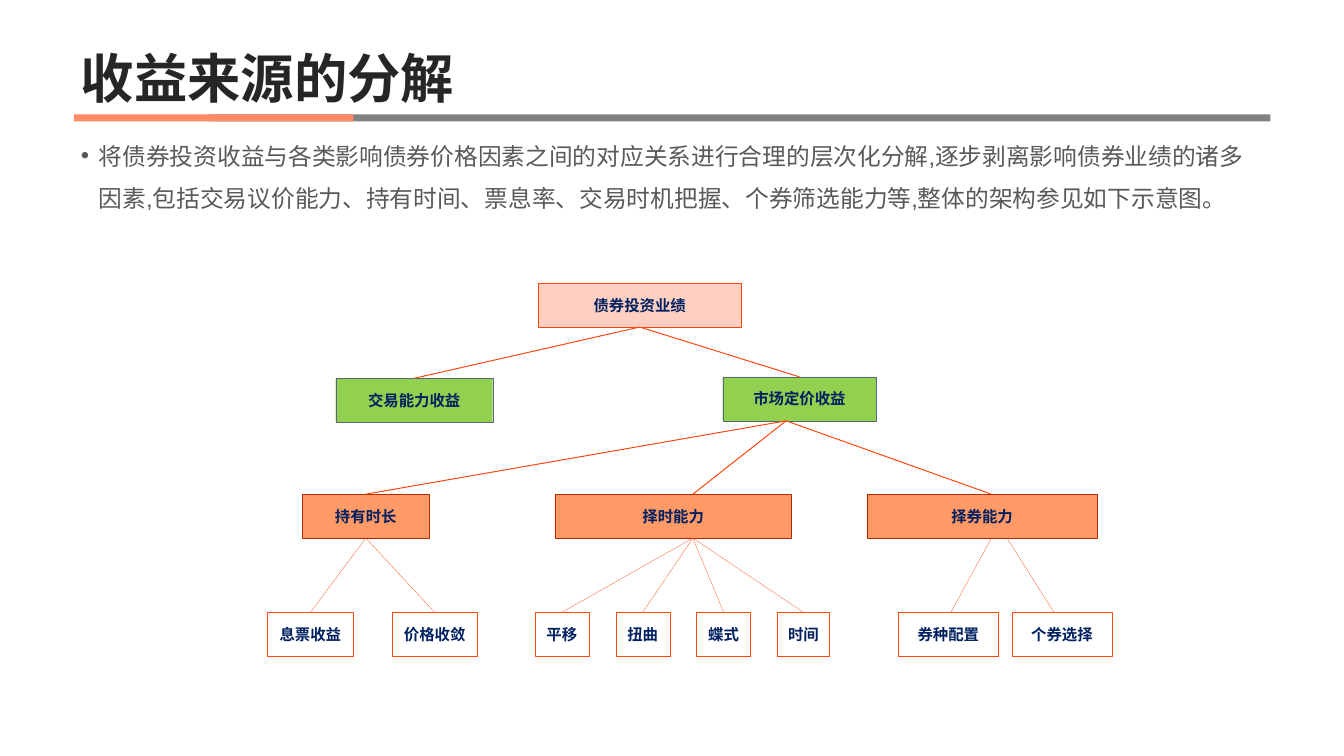
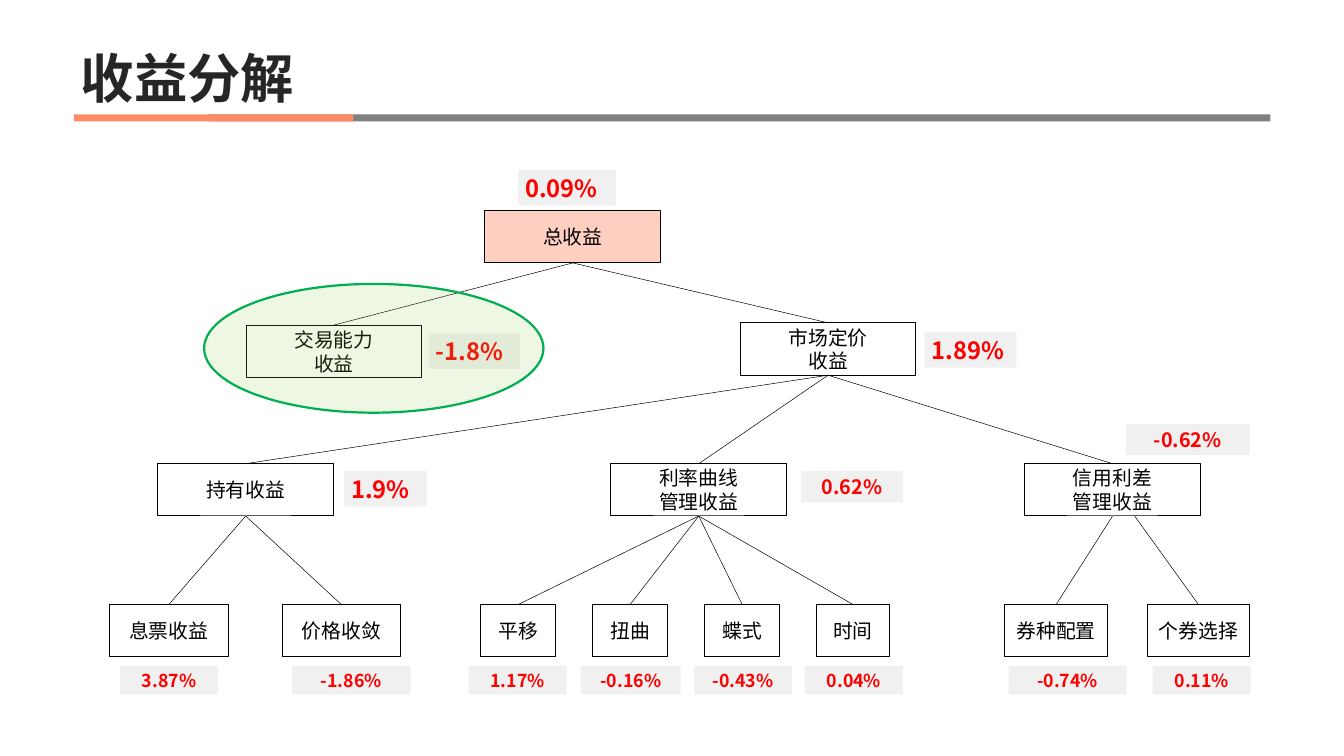
from pptx import Presentation
from pptx.dml.color import RGBColor
from pptx.enum.shapes import MSO_CONNECTOR, MSO_SHAPE
from pptx.enum.text import MSO_ANCHOR, PP_ALIGN
from pptx.oxml.ns import qn
from pptx.util import Cm, Pt
from lxml.etree import SubElement

LATIN, CJK = "Arial", "Noto Sans CJK SC"
BLACK = RGBColor(0x00, 0x00, 0x00)
TITLE_INK = RGBColor(0x26, 0x26, 0x26)
BODY_INK = RGBColor(0x59, 0x59, 0x59)
BAND_GREY = RGBColor(0x80, 0x80, 0x80)
BAND_CORAL = RGBColor(0xFF, 0x8A, 0x65)
NAVY = RGBColor(0x00, 0x20, 0x60)
PINK = RGBColor(0xFF, 0xD0, 0xC1)
LIME = RGBColor(0x92, 0xD0, 0x50)
SLATE = RGBColor(0x56, 0x68, 0x7C)
ORANGE = RGBColor(0xFF, 0x99, 0x66)
RUST = RGBColor(0xB2, 0x2B, 0x00)
VERMILION = RGBColor(0xFF, 0x46, 0x0C)
TAG_GREY = RGBColor(0xF0, 0xF0, 0xF0)
RED = RGBColor(0xFF, 0x00, 0x00)
GREEN = RGBColor(0x00, 0xB0, 0x50)

MARGIN, CONTENT_WIDTH = 2.64, 42.72


def write(shape, text, size, color, bold=False, align=PP_ALIGN.LEFT,
          anchor=MSO_ANCHOR.TOP, font=CJK, spacing=None):
    """Put formatted text into a shape."""
    tf = shape.text_frame
    tf.word_wrap = True
    tf.vertical_anchor = anchor
    tf.text = text
    for p in tf.paragraphs:
        p.alignment = align
        p.line_spacing = spacing
        for r in p.runs:
            r.font.size, r.font.bold, r.font.name = Pt(size), bold, font
            r.font.color.rgb = color
            SubElement(r.font._element, qn("a:ea"), typeface=CJK)


def add_box(slide, left, top, width, height, fill=None, line=None, weight=1,
            kind=MSO_SHAPE.RECTANGLE):
    """Add a flat preset shape; no colour means no fill or no line."""
    sp = slide.shapes.add_shape(kind, Cm(left), Cm(top), Cm(width), Cm(height))
    sp.shadow.inherit = False
    if fill is None:
        sp.fill.background()
    else:
        sp.fill.solid()
        sp.fill.fore_color.rgb = fill
    if line is None:
        sp.line.fill.background()
    else:
        sp.line.color.rgb = line
        sp.line.width = Pt(weight)
    return sp


def add_link(slide, parent, child, color, weight, start=0, end=0):
    """Join a parent's bottom centre to a child's top centre, with shifts in cm."""
    cxn = slide.shapes.add_connector(
        MSO_CONNECTOR.STRAIGHT,
        parent.left + parent.width // 2 + Cm(start), parent.top + parent.height,
        child.left + child.width // 2 + Cm(end), child.top)
    cxn.line.color.rgb = color
    cxn.line.width = Pt(weight)
    SubElement(cxn._element.spPr, qn("a:effectLst"))


def add_titled_slide(prs, title):
    """Add a blank slide with the shared title and two-colour band."""
    slide = prs.slides.add_slide(prs.slide_layouts[6])
    add_box(slide, 7.47, 4.09, 37.9, 0.25, BAND_GREY)
    add_box(slide, MARGIN, 4.09, 9.98, 0.25, BAND_CORAL)
    box = slide.shapes.add_textbox(Cm(MARGIN), 0, Cm(CONTENT_WIDTH), Cm(4.04))
    write(box, title, 54, TITLE_INK, True, anchor=MSO_ANCHOR.BOTTOM,
          font=LATIN, spacing=0.9)
    return slide


def add_bullet(slide, left, top, width, height, text):
    """Add one bulleted body paragraph with a hanging indent."""
    box = slide.shapes.add_textbox(Cm(left), Cm(top), Cm(width), Cm(height))
    write(box, text, 24, BODY_INK, font=LATIN, spacing=1.5)
    p = box.text_frame.paragraphs[0]
    p.space_before = Pt(10)
    pPr = p._p.get_or_add_pPr()
    pPr.set("marL", str(Cm(0.64)))
    pPr.set("indent", str(-Cm(0.64)))
    SubElement(pPr, qn("a:buFont"), typeface=LATIN)
    SubElement(pPr, qn("a:buChar"), char="•")


def add_tree(slide, left, top, height, rows, links, size, color, bold, weight):
    """Draw rows of nodes inside a box at left, top, then the links between them."""
    nodes = {}
    for row_top, fill, line, row in rows:
        for text, x, width in row:
            sp = add_box(slide, left + x, top + row_top, width, height,
                         fill, line, weight)
            write(sp, text, size, color, bold, PP_ALIGN.CENTER, MSO_ANCHOR.MIDDLE)
            nodes[text] = sp
    for parent, line, line_weight, children in links:
        for child, start, end in children:
            add_link(slide, nodes[parent], nodes[child], line, line_weight, start, end)


def add_tags(slide, left, top, height, size, align, tags):
    """Add grey value tags of one size, placed from left, top."""
    for text, x, y, width in tags:
        sp = add_box(slide, left + x, top + y, width, height, TAG_GREY)
        write(sp, text, size, RED, True, align)


def curve_leaves(left, pitch, width, last_width):
    """Return the four evenly spaced yield-curve leaves."""
    names = ["平移", "扭曲", "蝶式", "时间"]
    widths = [width] * 3 + [last_width]
    return [(n, left + i * pitch, w) for i, (n, w) in enumerate(zip(names, widths))]


def straight(*names, start=0, end=0):
    """Give several children the same link shifts."""
    return [(name, start, end) for name in names]


def build_structure_slide(prs):
    """Slide on how return sources are broken down."""
    slide = add_titled_slide(prs, "收益来源的分解")
    add_bullet(slide, MARGIN, 4.42, CONTENT_WIDTH, 21.74,
               "将债券投资收益与各类影响债券价格因素之间的对应关系进行合理的层次化分解,"
               "逐步剥离影响债券业绩的诸多因素,包括交易议价能力、持有时间、票息率、"
               "交易时机把握、个券筛选能力等,整体的架构参见如下示意图。".replace(",", ","))
    rows = [
        (0, PINK, VERMILION, [("债券投资业绩", 9.68, 7.24)]),
        (3.4, LIME, SLATE, [("交易能力收益", 2.44, 5.61)]),
        (3.35, LIME, SLATE, [("市场定价收益", 16.26, 5.49)]),
        (7.54, ORANGE, RUST, [("持有时长", 1.24, 4.55), ("择时能力", 10.29, 8.41),
                              ("择券能力", 21.41, 8.23)]),
        (11.76, None, VERMILION, [("息票收益", 0, 3.07), ("价格收敛", 4.45, 3.05),
                                  *curve_leaves(9.55, 2.89, 1.93, 1.85),
                                  ("券种配置", 22.53, 3.58), ("个券选择", 26.59, 3.58)]),
    ]
    links = [
        ("债券投资业绩", VERMILION, 1, straight("交易能力收益", "市场定价收益")),
        ("市场定价收益", VERMILION, 1, [("持有时长", -0.48, 0), ("择时能力", -0.48, 0.7),
                                  ("择券能力", -0.48, 0.33)]),
        ("持有时长", VERMILION, 0.25, straight("息票收益", "价格收敛")),
        ("择时能力", VERMILION, 0.25, straight("平移", "扭曲", "蝶式", "时间", start=0.7)),
        ("择券能力", VERMILION, 0.25, [("券种配置", 0.33, 0.09), ("个券选择", 0.89, -0.29)]),
    ]
    add_tree(slide, 9.55, 10.11, 1.57, rows, links, 15.6, NAVY, True, 0.25)


def build_result_slide(prs):
    """Slide with the return contributed by each source."""
    slide = add_titled_slide(prs, "收益分解")
    left, top, wide = 3.91, 7.52, 6.27
    market, curve, credit = "市场定价\n收益", "利率曲线\n管理收益", "信用利差\n管理收益"
    trade = "交易能力\n收益"
    rows = [
        (0, PINK, BLACK, [("总收益", 13.41, wide)]),
        (4.09, None, BLACK, [(trade, 4.88, wide)]),
        (4.01, None, BLACK, [(market, 22.53, wide)]),
        (9.04, None, BLACK, [("持有收益", 1.73, wide), (curve, 17.91, wide),
                             (credit, 32.69, wide)]),
        (14.07, None, BLACK, [("息票收益", 0, 4.24), ("价格收敛", 6.17, 4.22),
                              *curve_leaves(13.26, 4, 2.67, 2.59),
                              ("券种配置", 31.98, 3.66), ("个券选择", 37.06, 3.66)]),
    ]
    links = [
        ("总收益", BLACK, 0.5, straight(trade, market)),
        (market, BLACK, 0.5, straight("持有收益", curve, credit)),
        ("持有收益", BLACK, 0.5, straight("息票收益", "价格收敛")),
        (curve, BLACK, 0.5, straight("平移", "扭曲", "蝶式", "时间")),
        (credit, BLACK, 0.5, [("券种配置", 0, 0), ("个券选择", 0.79, 0)]),
    ]
    add_tree(slide, left, top, 1.87, rows, links, 20, BLACK, False, 1)

    add_tags(slide, left, top, 1.27, 24, PP_ALIGN.LEFT, [
        ("0.09%", 14.6, -1.45, 3.5), ("1.89%", 29.11, 4.34, 3.28),
        ("-1.8%", 11.4, 4.39, 3.28), ("1.9%", 8.38, 9.3, 2.95)])
    add_tags(slide, left, top, 1.12, 20, PP_ALIGN.CENTER, [
        ("0.62%", 24.69, 9.3, 3.66), ("-0.62%", 36.3, 7.62, 4.42)])
    leaf_tags = [("3.87%", 0.38, 3.5), ("-1.86%", 6.53, 4.22), ("1.17%", 12.83, 3.5),
                 ("-0.16%", 16.84, 3.56), ("-0.43%", 20.88, 3.5), ("0.04%", 24.84, 3.5),
                 ("-0.74%", 32.11, 4.22), ("0.11%", 37.26, 3.5)]
    add_tags(slide, left, top, 1.02, 18, PP_ALIGN.CENTER,
             [(text, x, 16.26, width) for text, x, width in leaf_tags])

    highlight = add_box(slide, left + 3.38, top + 2.62, 12.12, 4.6, LIME, GREEN, 2.25,
                        MSO_SHAPE.OVAL)
    tint = highlight._element.spPr.find(qn("a:solidFill")).find(qn("a:srgbClr"))
    SubElement(tint, qn("a:alpha"), val="15000")


prs = Presentation()
prs.slide_width, prs.slide_height = Cm(48), Cm(27)
build_structure_slide(prs)
build_result_slide(prs)
prs.save("out.pptx")
